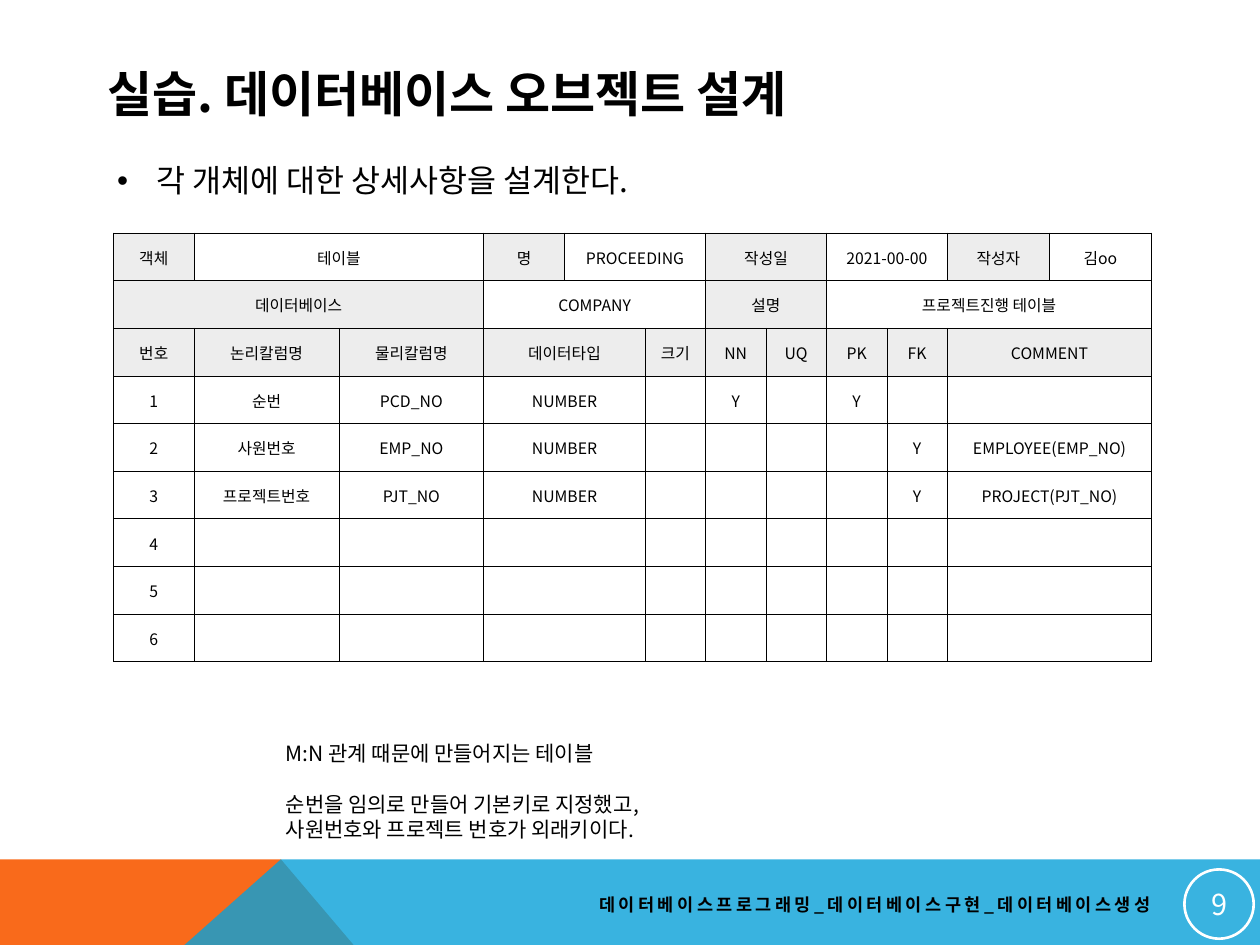
import pptx
import pptx.dml.color
import pptx.enum.shapes
import pptx.enum.text
import pptx.oxml
import pptx.oxml.ns
import pptx.util
from lxml import etree

COLORS = {"ink": "000000", "paper": "FFFFFF", "label": "EDEDED", "orange": "F96A1B", "blue": "08A1D9"}
FONT = "Noto Sans CJK KR"
ALIGN = pptx.enum.text.PP_ALIGN
MIDDLE = pptx.enum.text.MSO_ANCHOR.MIDDLE

COLUMN_WIDTHS = [0.64, 1.15, 1.15, 0.64, 0.64] + [0.48] * 5 + [0.81] * 2
ROW_HEIGHT = 0.378
COLUMN_TITLES_ROW = 2
LABELS = {"객체", "명", "작성일", "작성자", "데이터베이스", "설명"}
SPEC_ROWS = [
    ["객체", "테이블", None, "명", "PROCEEDING", None, "작성일", None, "2021-00-00", None, "작성자", "김oo"],
    ["데이터베이스", None, None, "COMPANY", None, None, "설명", None, "프로젝트진행 테이블", None, None, None],
    ["번호", "논리칼럼명", "물리칼럼명", "데이터타입", None, "크기", "NN", "UQ", "PK", "FK", "COMMENT", None],
    ["1", "순번", "PCD_NO", "NUMBER", None, "", "Y", "", "Y", "", "", None],
    ["2", "사원번호", "EMP_NO", "NUMBER", None, "", "", "", "", "Y", "EMPLOYEE(EMP_NO)", None],
    ["3", "프로젝트번호", "PJT_NO", "NUMBER", None, "", "", "", "", "Y", "PROJECT(PJT_NO)", None],
] + [[number, "", "", "", None, "", "", "", "", "", "", None] for number in "456"]


def rgb(name):
    return pptx.dml.color.RGBColor.from_string(COLORS[name])


def add_xml(parent, tag, **attributes):
    return etree.SubElement(parent, pptx.oxml.ns.qn(tag), **attributes)


class Deck:
    """Holds the style and current slide, on a grid of 10 columns by 7.5 rows."""

    def __init__(self):
        self.presentation = pptx.Presentation()
        self.presentation.slide_width = pptx.util.Inches(10)
        self.presentation.slide_height = pptx.util.Inches(7.5)
        self.column = self.presentation.slide_width / 10
        self.row = self.presentation.slide_height / 7.5
        self.slide = self.presentation.slides.add_slide(self.presentation.slide_layouts[1])

    def area(self, left, top, width, height):
        units = (self.column, self.row) * 2
        return [round(length * unit) for length, unit in zip((left, top, width, height), units)]

    def style(self, paragraph, size, color="ink", bold=False, align=ALIGN.LEFT, tracking=0):
        paragraph.alignment = align
        font = paragraph.font
        font.size = pptx.util.Pt(size)
        font.bold = bold
        font.color.rgb = rgb(color)
        font.name = FONT
        properties = paragraph._p.pPr.find(pptx.oxml.ns.qn("a:defRPr"))
        add_xml(properties, "a:ea", typeface=FONT)
        if tracking:
            properties.set("spc", str(tracking * 100))

    def place(self, shape, box):
        shape.left, shape.top, shape.width, shape.height = self.area(*box)

    def title(self, text, box):
        heading = self.slide.shapes.title
        self.place(heading, box)
        heading.text_frame.text = text
        heading.text_frame.auto_size = pptx.enum.text.MSO_AUTO_SIZE.NONE
        heading.text_frame.vertical_anchor = MIDDLE
        self.style(heading.text_frame.paragraphs[0], 28, bold=True)

    def bullet(self, text, box):
        body = self.slide.placeholders[1]
        self.place(body, box)
        body.text_frame.text = text
        body.text_frame.word_wrap = False
        body.text_frame.auto_size = pptx.enum.text.MSO_AUTO_SIZE.SHAPE_TO_FIT_TEXT
        item = body.text_frame.paragraphs[0]
        item.space_before = pptx.util.Pt(0)
        item.line_spacing = pptx.util.Pt(21.6)
        self.style(item, 18)
        indent = pptx.util.Inches(0.31)
        item._p.pPr.set("marL", str(indent))
        item._p.pPr.set("indent", str(-indent))

    def text(self, lines, box, size, gap_before=None, line_pitch=None, wrap=True, **style):
        frame = self.slide.shapes.add_textbox(*self.area(*box)).text_frame
        frame.text = "\n".join(lines)
        frame.word_wrap = wrap
        frame.vertical_anchor = MIDDLE if wrap else pptx.enum.text.MSO_ANCHOR.TOP
        for index, paragraph in enumerate(frame.paragraphs):
            if line_pitch:
                paragraph.line_spacing = pptx.util.Pt(line_pitch)
            if index == gap_before:
                paragraph.space_before = pptx.util.Pt(line_pitch)
            self.style(paragraph, size, **style)

    def band(self, corners, color, opacity=100):
        points = [(round(x * self.column), round(y * self.row)) for x, y in corners]
        builder = self.slide.shapes.build_freeform(*points[0])
        builder.add_line_segments(points[1:], close=True)
        band = builder.convert_to_shape()
        band.shadow.inherit = False
        band.line.fill.background()
        band.fill.solid()
        band.fill.fore_color.rgb = rgb(color)
        if opacity < 100:
            fill = band._element.spPr.find(pptx.oxml.ns.qn("a:solidFill"))
            add_xml(fill[0], "a:alpha", val=str(opacity * 1000))

    def badge(self, text, box):
        circle = self.slide.shapes.add_shape(pptx.enum.shapes.MSO_SHAPE.OVAL, *self.area(*box))
        circle.shadow.inherit = False
        circle.fill.background()
        circle.line.color.rgb = rgb("paper")
        circle.line.width = pptx.util.Pt(1.5)
        frame = circle.text_frame
        frame.text = text
        frame.vertical_anchor = MIDDLE
        frame.margin_left = frame.margin_right = pptx.util.Inches(0.01)
        frame.margin_top = frame.margin_bottom = pptx.util.Inches(0.01)
        self.style(frame.paragraphs[0], 16.5, "paper", align=ALIGN.CENTER)

    def cell(self, cell, text, shaded):
        cell.text = text
        cell.vertical_anchor = MIDDLE
        cell.margin_left = cell.margin_right = cell.margin_top = pptx.util.Inches(0.01)
        cell.margin_bottom = 0
        self.style(cell.text_frame.paragraphs[0], 9, align=ALIGN.CENTER)
        if shaded:
            cell.fill.solid()
            cell.fill.fore_color.rgb = rgb("label")
        else:
            cell.fill.background()
        properties = cell._tc.get_or_add_tcPr()
        for index, side in enumerate("LRTB"):
            border = add_xml(properties, f"a:ln{side}", w=str(pptx.util.Pt(0.5)))
            add_xml(add_xml(border, "a:solidFill"), "a:srgbClr", val=COLORS["ink"])
            properties.insert(index, border)

    def table(self, rows, left, top):
        box = self.area(left, top, sum(COLUMN_WIDTHS), ROW_HEIGHT * len(rows))
        table = self.slide.shapes.add_table(len(rows), len(COLUMN_WIDTHS), *box).table
        table.first_row = table.horz_banding = False
        for column, width in zip(table.columns, COLUMN_WIDTHS):
            column.width = round(width * self.column)
        for r, row in enumerate(rows):
            table.rows[r].height = round(ROW_HEIGHT * self.row)
            starts = [c for c, text in enumerate(row) if text is not None]
            for start, following in zip(starts, starts[1:] + [len(row)]):
                shaded = r == COLUMN_TITLES_ROW or row[start] in LABELS
                for c in range(start, following):
                    self.cell(table.cell(r, c), row[c] or "", shaded)
                if following - start > 1:
                    table.cell(r, start).merge(table.cell(r, following - 1))


def main():
    deck = Deck()
    deck.band([(0, 8.8), (0, 6.82), (2.23, 6.82), (3.91, 8.8)], "orange")
    deck.band([(0, 8.8), (2.23, 6.82), (10, 6.82), (10, 8.8)], "blue", opacity=80)
    deck.table(SPEC_ROWS, 0.9, 1.85)
    deck.badge("9", (9.4, 6.9, 0.55, 0.55))
    deck.bullet("각 개체에 대한 상세사항을 설계한다.", (0.83, 1.23, 4.72, 0.4))
    deck.text(["데이터베이스프로그래밍_데이터베이스구현_데이터베이스생성"], (4.06, 7.03, 5.17, 0.3), 10,
              bold=True, align=ALIGN.RIGHT, tracking=2)
    deck.title("실습. 데이터베이스 오브젝트 설계", (0.75, 0.44, 8.22, 0.6))
    deck.text(["M:N 관계 때문에 만들어지는 테이블", "순번을 임의로 만들어 기본키로 지정했고,",
               "사원번호와 프로젝트 번호가 외래키이다."], (2.17, 5.83, 3.34, 0.91), 12,
              gap_before=1, line_pitch=14.4, wrap=False)
    deck.presentation.save("out.pptx")


if __name__ == "__main__":
    main()
